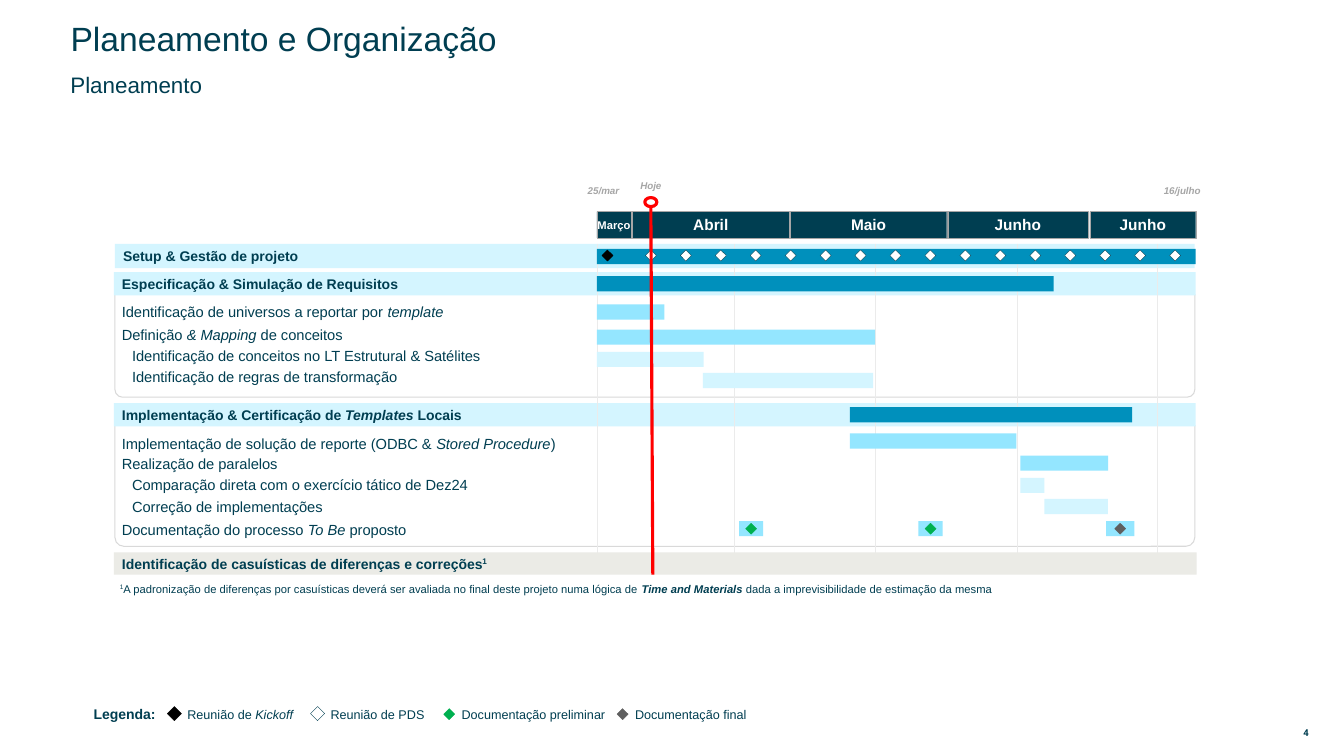
from collections import namedtuple

from lxml import etree
from pptx import Presentation
from pptx.dml.color import RGBColor
from pptx.enum.shapes import MSO_CONNECTOR, MSO_SHAPE
from pptx.enum.text import MSO_ANCHOR, MSO_AUTO_SIZE, PP_ALIGN
from pptx.oxml.ns import qn
from pptx.util import Inches, Pt

RECTANGLE = MSO_SHAPE.RECTANGLE
DIAMOND = MSO_SHAPE.DIAMOND
OVAL = MSO_SHAPE.OVAL
PANEL = MSO_SHAPE.ROUND_2_SAME_RECTANGLE
STRAIGHT = MSO_CONNECTOR.STRAIGHT
MIDDLE = MSO_ANCHOR.MIDDLE
NO_FIT = MSO_AUTO_SIZE.NONE
LEFT, CENTER = PP_ALIGN.LEFT, PP_ALIGN.CENTER

COLORS = {
    "navy": "003E51", "phase": "0090BC", "task": "94E6FF", "step": "D4F5FF",
    "sand": "EBEBE6", "grid": "EBEBEB", "border": "D9D9D9", "gray": "A6A6A6",
    "white": "FFFFFF", "black": "000000", "green": "00B050",
    "final": "5F5F5F", "red": "FF0000",
}

Box = namedtuple("Box", "left top width height")
Section = namedtuple("Section", "box title phase rows")
Row = namedtuple("Row", "middle wording indent bar")
Bar = namedtuple("Bar", "left top width color")

SPECIFICATION = Section(
    Box(1.14, 2.7, 10.71, 1.24),
    [("Especificação & Simulação de Requisitos", "b")],
    Bar(4.78, 0.04, 4.53, "phase"),
    [
        Row(0.39, [("Identificação de universos a reportar por ", ""), ("template", "i")],
            0.1, Bar(4.78, 0.32, 0.67, "task")),
        Row(0.62, [("Definição", ""), (" & Mapping", "i"), (" de conceitos", "")],
            0.1, Bar(4.78, 0.57, 2.76, "task")),
        Row(0.83, [("Identificação de conceitos no LT Estrutural & Satélites", "")],
            0.2, Bar(4.78, 0.79, 1.06, "step")),
        Row(1.04, [("Identificação de regras de transformação", "")],
            0.2, Bar(5.83, 1.0, 1.69, "step")),
    ],
)
IMPLEMENTATION = Section(
    Box(1.14, 4, 10.71, 1.42),
    [("Implementação & Certificação de ", "b"), ("Templates ", "bi"), ("Locais", "b")],
    Bar(7.29, 0.04, 2.8, "phase"),
    [
        Row(0.4, [("Implementação de solução de reporte (ODBC & ", ""),
                  ("Stored Procedure", "i"), (")", "")],
            0.1, Bar(7.29, 0.3, 1.65, "task")),
        Row(0.6, [("Realização de paralelos", "")], 0.1, Bar(8.98, 0.52, 0.87, "task")),
        Row(0.81, [("Comparação direta com o exercício tático de Dez24", "")],
            0.2, Bar(8.98, 0.74, 0.24, "step")),
        Row(1.03, [("Correção de implementações", "")], 0.2, Bar(9.22, 0.95, 0.63, "step")),
        Row(1.25, [("Documentação do processo ", ""), ("To Be", "i"), (" proposto", "")],
            0.1, None),
    ],
)
SECTIONS = [SPECIFICATION, IMPLEMENTATION]


def rgb(name):
    return RGBColor.from_string(COLORS[name])


def write_text(shape, wording, size=10.5, color="navy", font="Arial",
               align=LEFT, inset=0.1, wrap=True, spacing=None):
    frame = shape.text_frame
    frame.auto_size = NO_FIT
    frame.word_wrap = wrap
    frame.vertical_anchor = MIDDLE
    frame.margin_left = frame.margin_right = Inches(inset)
    frame.margin_top = frame.margin_bottom = 0
    paragraph = frame.paragraphs[0]
    paragraph.alignment = align
    paragraph.space_before = Pt(0)
    if spacing:
        paragraph.line_spacing = spacing
    for text, style in wording:
        run = paragraph.add_run()
        run.text = text
        run.font.name = font
        run.font.size = Pt(size)
        run.font.color.rgb = rgb(color)
        run.font.bold = "b" in style
        run.font.italic = "i" in style
        if "^" in style:
            run.font._element.set("baseline", "30000")


def place(box):
    return [Inches(length) for length in box]


def add_label(slide, box, wording, **text_format):
    write_text(slide.shapes.add_textbox(*place(box)), wording, **text_format)


def add_block(slide, box, fill=None, line=None, line_width=0.25, kind=RECTANGLE):
    shape = slide.shapes.add_shape(kind, *place(box))
    shape.shadow.inherit = False
    if fill:
        shape.fill.solid()
        shape.fill.fore_color.rgb = rgb(fill)
    else:
        shape.fill.background()
    if line:
        shape.line.color.rgb = rgb(line)
        shape.line.width = Pt(line_width)
    else:
        shape.line.fill.background()
    return shape


def add_line(slide, start, end, color, width):
    connector = slide.shapes.add_connector(STRAIGHT, *place(start + end))
    connector.line.color.rgb = rgb(color)
    connector.line.width = Pt(width)
    etree.SubElement(connector._element.spPr, qn("a:effectLst"))


def add_diamond(slide, left, top, fill, line=None, size=0.11):
    add_block(slide, Box(left, top, size, size), fill, line or fill, kind=DIAMOND)


def add_band(slide, box, wording, fill="step"):
    write_text(add_block(slide, box, fill), wording, size=10, inset=0.08)


def add_bar(slide, box, bar):
    add_block(slide, Box(box.left + bar.left, box.top + bar.top, bar.width, 0.15), bar.color)


def draw_titles(slide, box):
    title = slide.shapes.title
    title.left, title.top, title.width, title.height = place(box._replace(height=0.26))
    write_text(title, [("Planeamento e Organização", "")], size=24, spacing=0.9)
    add_label(slide, Box(box.left, box.top + 0.46, box.width, 0.26),
              [("Planeamento", "")], size=16, spacing=0.9)


def draw_section(slide, section):
    box = section.box
    panel = add_block(slide, Box(box.left, box.top + 0.22, box.width, box.height - 0.22),
                      line="border", line_width=0.75, kind=PANEL)
    panel.adjustments[0], panel.adjustments[1] = 0, 0.073
    add_band(slide, Box(box.left - 0.01, box.top, box.width + 0.02, 0.23), section.title)
    for row in section.rows:
        add_label(slide, Box(box.left - 0.03, box.top + row.middle - 0.11, 4.94, 0.22),
                  row.wording, inset=row.indent)


def draw_section_bars(slide, section):
    for bar in [section.phase] + [row.bar for row in section.rows if row.bar]:
        add_bar(slide, section.box, bar)


def draw_grid(slide, box):
    for offset in (0, 1.36, 2.76, 4.17, 5.56):
        x = box.left + offset
        add_line(slide, (x, box.top), (x, box.top + box.height), "grid", 0.25)


def draw_meetings(slide, box):
    add_block(slide, box, "phase")
    add_diamond(slide, box.left + 0.05, box.top + 0.01, "black")
    for week in range(16):
        add_diamond(slide, box.left + 0.48 + week * 5.2 / 15, box.top + 0.01, "white", "navy")


def draw_documents(slide, box):
    for offset, width, color in [(0, 0.24, "green"), (1.78, 0.24, "green"),
                                 (3.64, 0.28, "final")]:
        left = box.left + offset
        add_block(slide, Box(left, box.top, width, box.height), "task")
        add_diamond(slide, left + (width - 0.11) / 2, box.top + 0.02, color)


def draw_months(slide, box):
    months = [("Março", 0, 0.34, 8), ("Abril", 0.35, 1.56, 11), ("Maio", 1.92, 1.55, 11),
              ("Junho", 3.48, 1.39, 11), ("Junho", 4.89, 1.05, 11)]
    for name, offset, width, size in months:
        month = add_block(slide, Box(box.left + offset, box.top, width, box.height),
                          "navy", "gray")
        write_text(month, [(name, "b")], size=size, color="white",
                   align=CENTER, inset=0, wrap=False)
    for name, offset in [("25/mar", -0.29), ("16/julho", 5.45)]:
        add_label(slide, Box(box.left + offset, box.top - 0.32, 0.71, 0.22),
                  [(name, "bi")], size=7, color="gray", align=CENTER, inset=0)


def draw_today(slide, box):
    center = box.left + box.width / 2
    add_line(slide, (center, box.top + 0.27), (center + 0.02, box.top + box.height), "red", 2.25)
    add_block(slide, Box(center - 0.06, box.top + 0.23, 0.12, 0.09),
              "white", "red", 2.25, OVAL)
    add_label(slide, box._replace(height=0.22), [("Hoje", "bi")],
              size=7, color="gray", align=CENTER, inset=0)


def draw_legend(slide, box):
    add_label(slide, box._replace(width=0.83), [("Legenda:", "b")], size=10)
    entries = [
        (0.83, 0.07, 0.14, 0.1, "black", "black", [("Reunião de ", ""), ("Kickoff", "i")]),
        (2.25, 0.07, 0.14, 0.1, "white", "navy", [("Reunião de PDS", "")]),
        (3.57, 0.09, 0.11, 0.08, "green", "green", [("Documentação preliminar", "")]),
        (5.29, 0.09, 0.11, 0.08, "final", "final", [("Documentação final", "")]),
    ]
    for offset, drop, size, gap, fill, line, wording in entries:
        left = box.left + offset
        add_diamond(slide, left, box.top + drop, fill, line, size)
        add_label(slide, Box(left + gap, box.top + drop + size / 2 - 0.13, 1.69, 0.27),
                  wording, size=9)


def main():
    presentation = Presentation()
    presentation.slide_width, presentation.slide_height = Inches(13.33), Inches(7.5)
    slide = presentation.slides.add_slide(presentation.slide_layouts[5])
    draw_titles(slide, Box(0.6, 0.27, 7.95, 0.72))
    add_band(slide, Box(1.14, 2.42, 10.71, 0.24), [("Setup & Gestão de projeto", "b")])
    for section in SECTIONS:
        draw_section(slide, section)
    draw_grid(slide, Box(5.92, 2.42, 5.94, 3.27))
    draw_meetings(slide, Box(5.92, 2.47, 5.94, 0.15))
    for section in SECTIONS:
        draw_section_bars(slide, section)
    draw_documents(slide, Box(7.33, 5.17, 3.92, 0.15))
    add_band(slide, Box(1.13, 5.48, 10.74, 0.22),
             [("Identificação de casuísticas de diferenças e correções", "b"), ("1", "b^")], "sand")
    add_label(slide, Box(1.09, 5.72, 10.81, 0.24), [
        ("1", "^"),
        ("A padronização de diferenças por casuísticas deverá ser avaliada no final "
         "deste projeto numa lógica de ", ""),
        ("Time and Materials ", "bi"),
        ("dada a imprevisibilidade de estimação da mesma", ""),
    ], size=8)
    draw_months(slide, Box(5.92, 2.1, 5.94, 0.26))
    draw_today(slide, Box(6.1, 1.73, 0.71, 3.97))
    draw_legend(slide, Box(0.83, 6.94, 6.78, 0.29))
    add_label(slide, Box(12.73, 7.19, 0.45, 0.16), [("4", "b")],
              size=6.8, font="Roboto", align=CENTER, inset=0.06)
    presentation.save("out.pptx")


if __name__ == "__main__":
    main()
